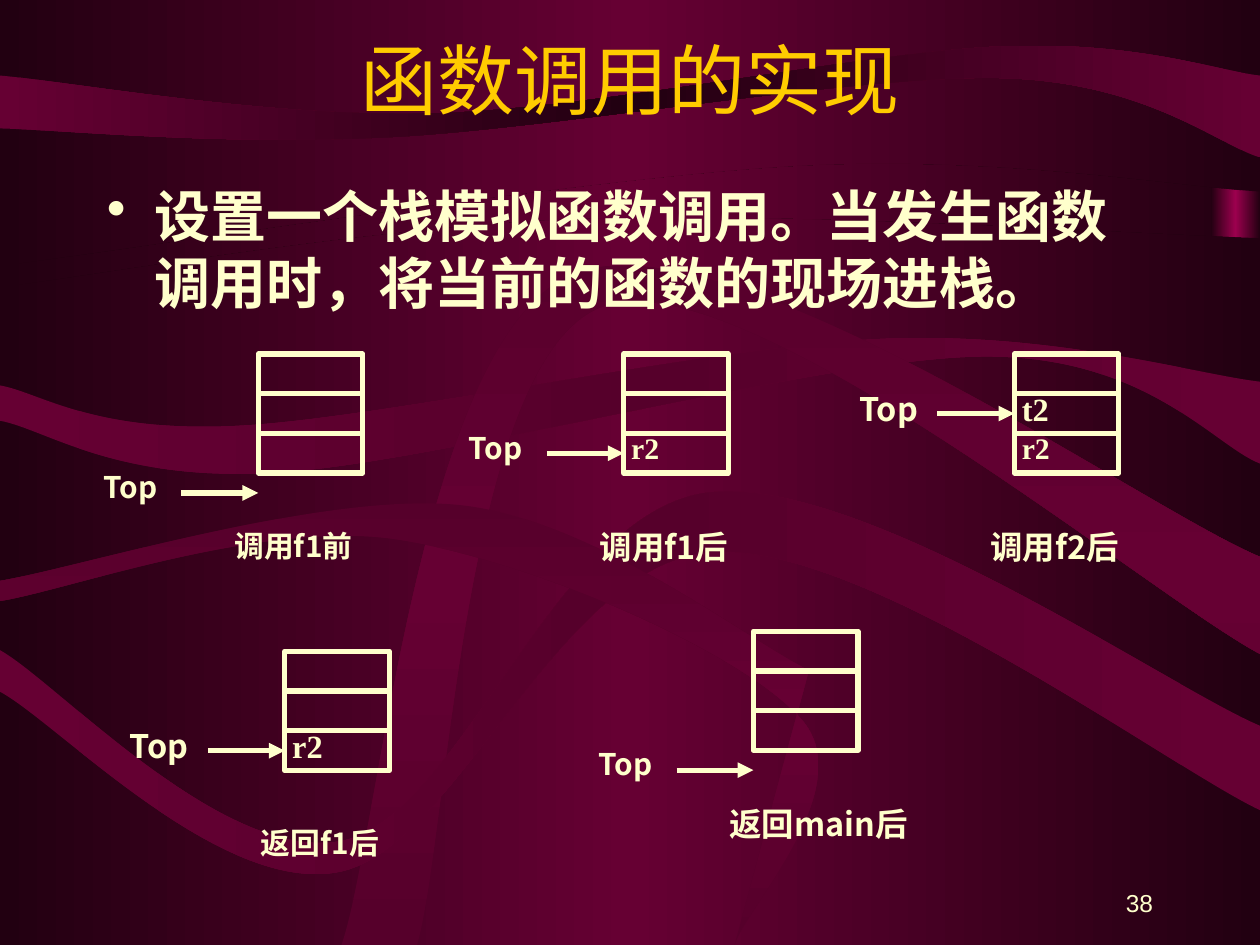
from lxml import etree
from pptx import Presentation
from pptx.dml.color import RGBColor
from pptx.enum.shapes import MSO_CONNECTOR, MSO_SHAPE
from pptx.enum.text import MSO_ANCHOR, PP_ALIGN
from pptx.oxml.ns import qn
from pptx.util import Inches, Pt

STRAIGHT, RECTANGLE = MSO_CONNECTOR.STRAIGHT, MSO_SHAPE.RECTANGLE
TOP, MIDDLE, BOTTOM = MSO_ANCHOR.TOP, MSO_ANCHOR.MIDDLE, MSO_ANCHOR.BOTTOM
LEFT, CENTER, RIGHT = PP_ALIGN.LEFT, PP_ALIGN.CENTER, PP_ALIGN.RIGHT
CREAM = RGBColor.from_string("FFFFCC")
GOLD = RGBColor.from_string("FFCC00")
DARK = RGBColor.from_string("220011")
WINE = RGBColor.from_string("660033")
PLUM = RGBColor.from_string("56002B")
MAGENTA = RGBColor.from_string("9C004E")
SERIF, SANS = "Times New Roman", "Noto Sans CJK SC"
WIDTH, HEIGHT = 10, 7.5
SMALL, LARGE = 17, 18.5

TITLE = "函数调用的实现"
BODY = "设置一个栈模拟函数调用。当发生函数调用时，将当前的函数的现场进栈。"
PAGE_NUMBER = "38"

# Edge colour, middle colour, angle, upper edge and lower edge from left to right
RIBBONS = [
    (DARK, WINE, 0, [(0, 0), (WIDTH, 0)],
     [(0, 2.11), (6.25, 1.32), (WIDTH, 1.52)]),
    (DARK, WINE, 0, [(0, 2.28), (4.58, 1.74), (WIDTH, 1.89)],
     [(0, HEIGHT), (WIDTH, HEIGHT)]),
    (WINE, DARK, 0, [(0, 0.6), (3.45, 0.9), (7.92, 0.37), (WIDTH, 0.6)],
     [(0, 1.02), (3.08, 1.09), (7.94, 0.62), (WIDTH, 1.25)]),
    (WINE, PLUM, 0, [(0, 3.06), (1.9, 3.38), (7.01, 2.69), (WIDTH, 3.03)],
     [(0, 3.34), (2.22, 3.75), (7.8, 2.83), (WIDTH, 3.68)]),
    (PLUM, WINE, 90, [(2.71, HEIGHT), (4.54, 2.18), (WIDTH, 4.42)],
     [(3.31, HEIGHT), (4.79, 2.43), (WIDTH, 5.19)]),
    (WINE, PLUM, 0, [(0, 5.16), (2.73, 6.67), (5.62, 3.91), (WIDTH, 5.76)],
     [(0, 5.49), (2.69, 6.92), (5.65, 4.38), (WIDTH, 6.43)]),
    (PLUM, WINE, 90, [(0, 4.61), (3.66, 4.01), (6.42, 5.32)],
     [(0, 4.77), (3.14, 4.28), (6.37, 5.72), (5.83, HEIGHT)]),
]

# Left, top, {row: (text, size)}, row of the Top arrow, size of "Top",
# caption, caption size
STACKS = [
    (2.05, 2.81, {}, 3, SMALL, "调用f1前", SMALL),
    (4.95, 2.81, {2: ("r2", SMALL)}, 2, SMALL, "调用f1后", LARGE),
    (8.05, 2.81, {1: ("t2", LARGE), 2: ("r2", SMALL)}, 1, LARGE, "调用f2后", LARGE),
    (2.26, 5.17, {2: ("r2", LARGE)}, 2, LARGE, "返回f1后", SMALL),
    (5.98, 5.01, {}, 3, SMALL, "返回main后", LARGE),
]
ROWS, CELL_WIDTH, CELL_HEIGHT = 3, 0.83, 0.315
ARROW_LENGTH, LABEL_WIDTH, CHARACTER_WIDTH = 0.61, 0.62, 0.25


def set_gradient(fill, element, edge, middle, angle=0):
    """Give the fill three stops: edge, middle, edge."""
    fill.gradient()
    fill.gradient_angle = angle
    stops = element.find(".//" + qn("a:gsLst"))
    for stop in list(stops):
        stops.remove(stop)
    for percent, color in ((0, edge), (50, middle), (100, edge)):
        stop = etree.SubElement(stops, qn("a:gs"), pos=str(percent * 1000))
        etree.SubElement(stop, qn("a:srgbClr"), val=str(color))


def smooth(edge):
    """Return Bézier triples for a Catmull-Rom curve through the edge points."""
    padded = [edge[0], *edge, edge[-1]]
    return [
        [tuple(b + (c - a) / 6 for a, b, c in zip(before, start, end)),
         tuple(c - (d - b) / 6 for b, c, d in zip(start, end, after)),
         end]
        for before, start, end, after in zip(padded, padded[1:], padded[2:], padded[3:])
    ]


def add_ribbon(slide, edge, middle, angle, upper, lower):
    """Build an outline through all points, then turn point triples into curves."""
    back = lower[::-1]
    segments = smooth(upper) + [[back[0]]] + smooth(back)
    builder = slide.shapes.build_freeform(*map(Inches, upper[0]))
    builder.add_line_segments(
        [(Inches(x), Inches(y)) for segment in segments for x, y in segment])
    shape = builder.convert_to_shape()
    lines = iter(shape._element.findall(".//" + qn("a:lnTo")))
    for segment in segments:
        steps = [next(lines) for _ in segment]
        if len(steps) > 1:
            curve = etree.Element(qn("a:cubicBezTo"))
            steps[0].addprevious(curve)
            for step in steps:
                curve.append(step[0])
                step.getparent().remove(step)
    finish_backdrop(shape, edge, middle, angle)


def finish_backdrop(shape, edge, middle, angle=0):
    set_gradient(shape.fill, shape._element, edge, middle, angle)
    shape.line.fill.background()
    shape.shadow.inherit = False


def write_text(shape, text, size, font=SERIF, color=CREAM, bold=True, align=LEFT,
               anchor=TOP, insets=(0, 0, 0, 0), spacing=None, bullet=False):
    frame = shape.text_frame
    frame.word_wrap = True
    frame.vertical_anchor = anchor
    (frame.margin_left, frame.margin_top,
     frame.margin_right, frame.margin_bottom) = map(Inches, insets)
    paragraph = frame.paragraphs[0]
    paragraph.alignment = align
    if spacing:
        paragraph.line_spacing = spacing
    if bullet:
        properties = paragraph._p.get_or_add_pPr()
        properties.set("marL", str(Inches(0.38)))
        properties.set("indent", str(-Inches(0.38)))
        etree.SubElement(properties, qn("a:buChar"), char="•")
    run = paragraph.add_run()
    run.text = text
    run.font.name, run.font.size, run.font.bold = font, Pt(size), bold
    run.font.color.rgb = color
    etree.SubElement(run._r.get_or_add_rPr(), qn("a:ea"), typeface=SANS)


def add_text(slide, left, top, width, height, text, size, **text_format):
    box = slide.shapes.add_textbox(*map(Inches, (left, top, width, height)))
    write_text(box, text, size, **text_format)


def add_cell(slide, left, top):
    cell = slide.shapes.add_shape(
        RECTANGLE, *map(Inches, (left, top, CELL_WIDTH, CELL_HEIGHT)))
    cell.fill.background()
    cell.line.color.rgb = CREAM
    cell.line.width = Pt(3)
    cell.shadow.inherit = False
    return cell


def add_arrow(slide, left, right, y, target=None):
    arrow = slide.shapes.add_connector(STRAIGHT, *map(Inches, (left, y, right, y)))
    if target is not None:
        arrow.end_connect(target, 1)
    arrow.line.color.rgb = CREAM
    arrow.line.width = Pt(3)
    etree.SubElement(arrow.line._get_or_add_ln(), qn("a:tailEnd"), type="triangle")
    etree.SubElement(arrow._element.spPr, qn("a:effectLst"))


def add_stack(slide, left, top, contents, top_row, top_size, caption, caption_size):
    cells = [add_cell(slide, left, top + row * CELL_HEIGHT) for row in range(ROWS)]
    for row, (text, size) in contents.items():
        write_text(cells[row], text, size, insets=(0.06, 0, 0, 0), spacing=0.9)
    pointer_top = top + top_row * CELL_HEIGHT
    target = cells[top_row] if top_row < ROWS else None
    add_arrow(slide, left - ARROW_LENGTH, left, pointer_top + CELL_HEIGHT / 2, target)
    add_text(slide, left - ARROW_LENGTH - LABEL_WIDTH, pointer_top, LABEL_WIDTH,
             CELL_HEIGHT, "Top", top_size, font=SANS, spacing=0.9)
    add_text(slide, left - 0.19, top + 1.41, CHARACTER_WIDTH * len(caption),
             CELL_HEIGHT, caption, caption_size, font=SANS, spacing=0.9)


def main():
    presentation = Presentation()
    presentation.slide_width = Inches(WIDTH)
    presentation.slide_height = Inches(HEIGHT)
    slide = presentation.slides.add_slide(presentation.slide_layouts[6])
    set_gradient(slide.background.fill, slide._element, DARK, WINE)

    glow = slide.shapes.add_shape(RECTANGLE, *map(Inches, (9.61, 0.49, 0.39, 3.45)))
    finish_backdrop(glow, DARK, MAGENTA)
    for ribbon in RIBBONS:
        add_ribbon(slide, *ribbon)

    padding = (0.1, 0.05, 0.1, 0.05)
    add_text(slide, 0.75, 0, 8.5, 1.25, TITLE, 44, color=GOLD, bold=False,
             align=CENTER, anchor=MIDDLE, insets=padding)
    add_text(slide, 0.75, 1.39, 8.5, 1.42, BODY, 32, insets=padding, bullet=True)
    add_text(slide, 7.17, 6.83, 2.08, 0.5, PAGE_NUMBER, 14, font="Arial", bold=False,
             align=RIGHT, anchor=BOTTOM, insets=padding)
    for stack in STACKS:
        add_stack(slide, *stack)
    presentation.save("out.pptx")


if __name__ == "__main__":
    main()
